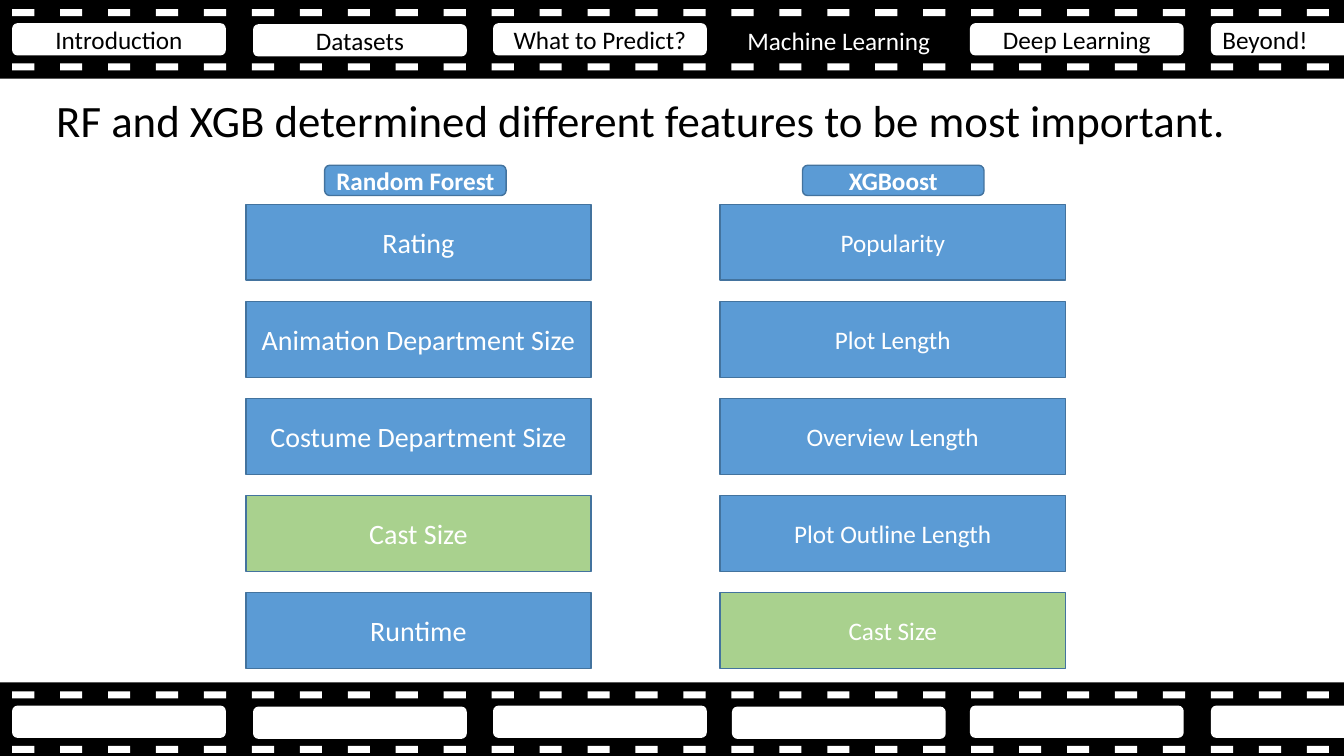
from pptx import Presentation
from pptx.dml.color import RGBColor
from pptx.enum.shapes import MSO_SHAPE
from pptx.enum.text import MSO_ANCHOR, PP_ALIGN
from pptx.util import Inches, Pt

COLORS = {"black": "000000", "white": "FFFFFF", "blue": "5B9BD5",
          "green": "A9D18E", "outline": "43739E"}
FONT = "Calibri"

TITLE = "RF and XGB determined different features to be most important."
SECTIONS = ["Introduction", "Datasets", "What to Predict?",
            "Machine Learning", "Deep Learning", "Beyond!"]
CURRENT = "Machine Learning"
SHARED = "Cast Size"
MODELS = [
    {"name": "Random Forest", "name_left": 3.22, "left": 2.44, "width": 3.42, "size": 20,
     "features": ["Rating", "Animation Department Size", "Costume Department Size",
                  "Cast Size", "Runtime"]},
    {"name": "XGBoost", "name_left": 7.96, "left": 7.14, "width": 3.43, "size": 18,
     "features": ["Popularity", "Plot Length", "Overview Length",
                  "Plot Outline Length", "Cast Size"]},
]

STRIP_TOPS = [0, 6.77]
FRAME_LEFTS = [0.12, 2.51, 4.89, 7.26, 9.62, 12.01]
FRAME_DROPS = [0.23, 0.24, 0.23, 0.24, 0.23, 0.23]
HOLE_DROPS = [0.09, 0.63]
HOLE_COUNT = 28
HOLES_PER_FRAME = 5
FEATURE_TOP, FEATURE_PITCH = 2.03, 0.9625

prs = Presentation()
prs.slide_width, prs.slide_height = Inches(13.33), Inches(7.5)
s = prs.slides.add_slide(prs.slide_layouts[6])


def rgb(name):
    return RGBColor.from_string(COLORS[name])


def write(sp, text, size, color, align=PP_ALIGN.CENTER, bold=False):
    tf = sp.text_frame
    tf.word_wrap = True
    tf.vertical_anchor = MSO_ANCHOR.MIDDLE
    p = tf.paragraphs[0]
    p.alignment = align
    r = p.add_run()
    r.text = text
    r.font.name, r.font.size, r.font.bold = FONT, Pt(size), bold
    r.font.color.rgb = rgb(color)
    return p


def add_box(left, top, width, height, fill, outline=None, kind=MSO_SHAPE.RECTANGLE):
    sp = s.shapes.add_shape(kind, Inches(left), Inches(top), Inches(width), Inches(height))
    sp.shadow.inherit = False
    sp.fill.solid()
    sp.fill.fore_color.rgb = rgb(fill)
    if outline:
        sp.line.color.rgb = rgb(outline)
        sp.line.width = Pt(1)
    else:
        sp.line.fill.background()
    return sp


title = s.shapes.add_textbox(Inches(0.46), Inches(0.49), Inches(12.67), Inches(1.45))
write(title, TITLE, 32, "black", PP_ALIGN.LEFT).line_spacing = 0.9

# Film strips: the upper one carries the section names
hole_pitch = (FRAME_LEFTS[-1] - FRAME_LEFTS[0]) / (HOLES_PER_FRAME * (len(FRAME_LEFTS) - 1))
for strip_top in STRIP_TOPS:
    add_box(0, strip_top, 13.33, 0.78, "black")
    for drop in HOLE_DROPS:
        for i in range(HOLE_COUNT):
            add_box(FRAME_LEFTS[0] + i * hole_pitch, strip_top + drop, 0.22, 0.07, "white")
    for section, left, drop in zip(SECTIONS, FRAME_LEFTS, FRAME_DROPS):
        named = strip_top == STRIP_TOPS[0]
        active = named and section == CURRENT
        frame = add_box(left, strip_top + drop, 2.12, 0.32, "black" if active else "white",
                        kind=MSO_SHAPE.ROUNDED_RECTANGLE)
        if named:
            align = PP_ALIGN.LEFT if section == SECTIONS[-1] else PP_ALIGN.CENTER
            write(frame, section, 18, "white" if active else "black", align)

# Ranked features of each model
for model in MODELS:
    for i, feature in enumerate(model["features"]):
        fill = "green" if feature == SHARED else "blue"
        box = add_box(model["left"], FEATURE_TOP + i * FEATURE_PITCH, model["width"], 0.75,
                      fill, "outline")
        write(box, feature, model["size"], "white")
    header = add_box(model["name_left"], 1.64, 1.8, 0.3, "blue", "outline",
                     MSO_SHAPE.ROUNDED_RECTANGLE)
    write(header, model["name"], 18, "white", bold=True)

prs.save("out.pptx")
